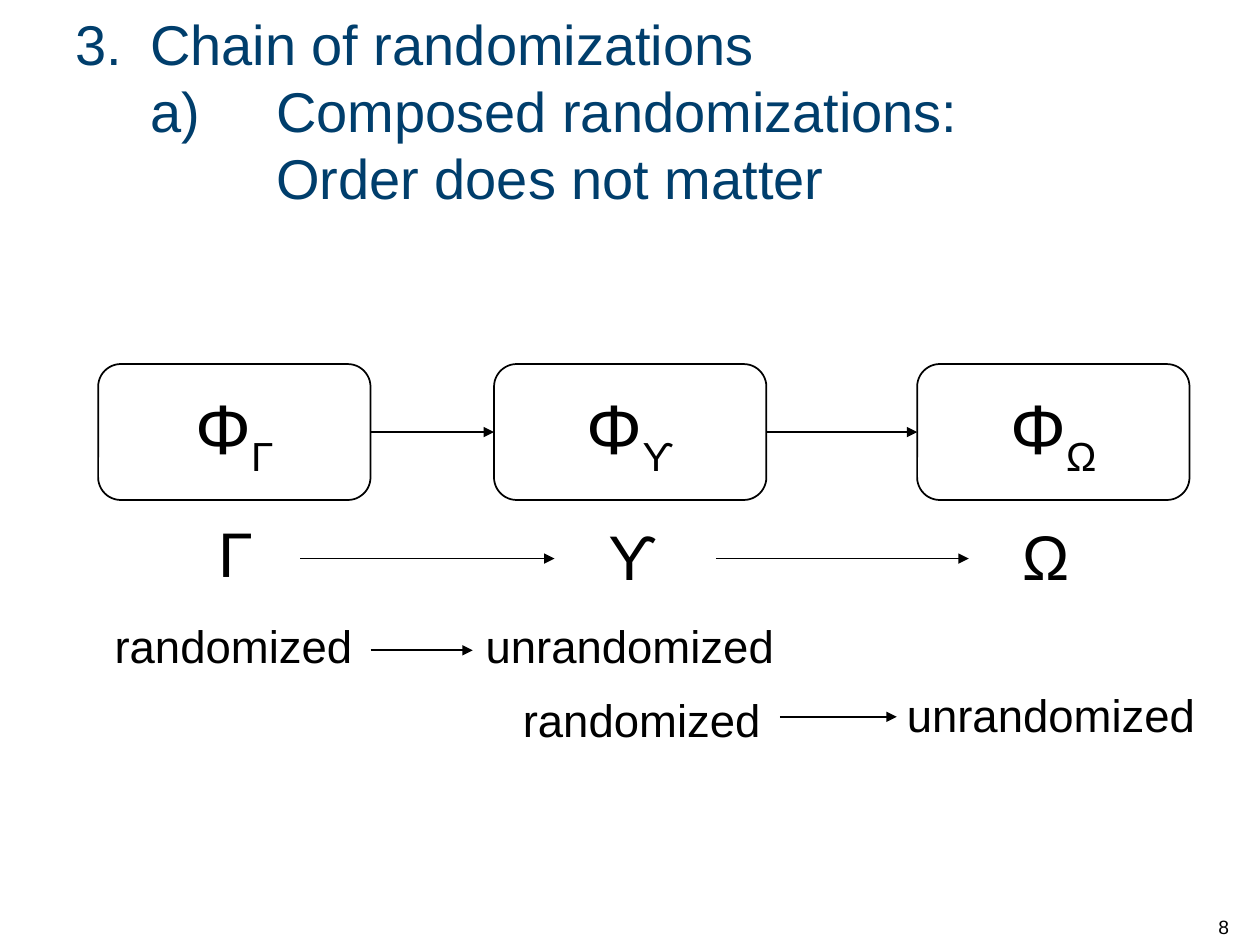
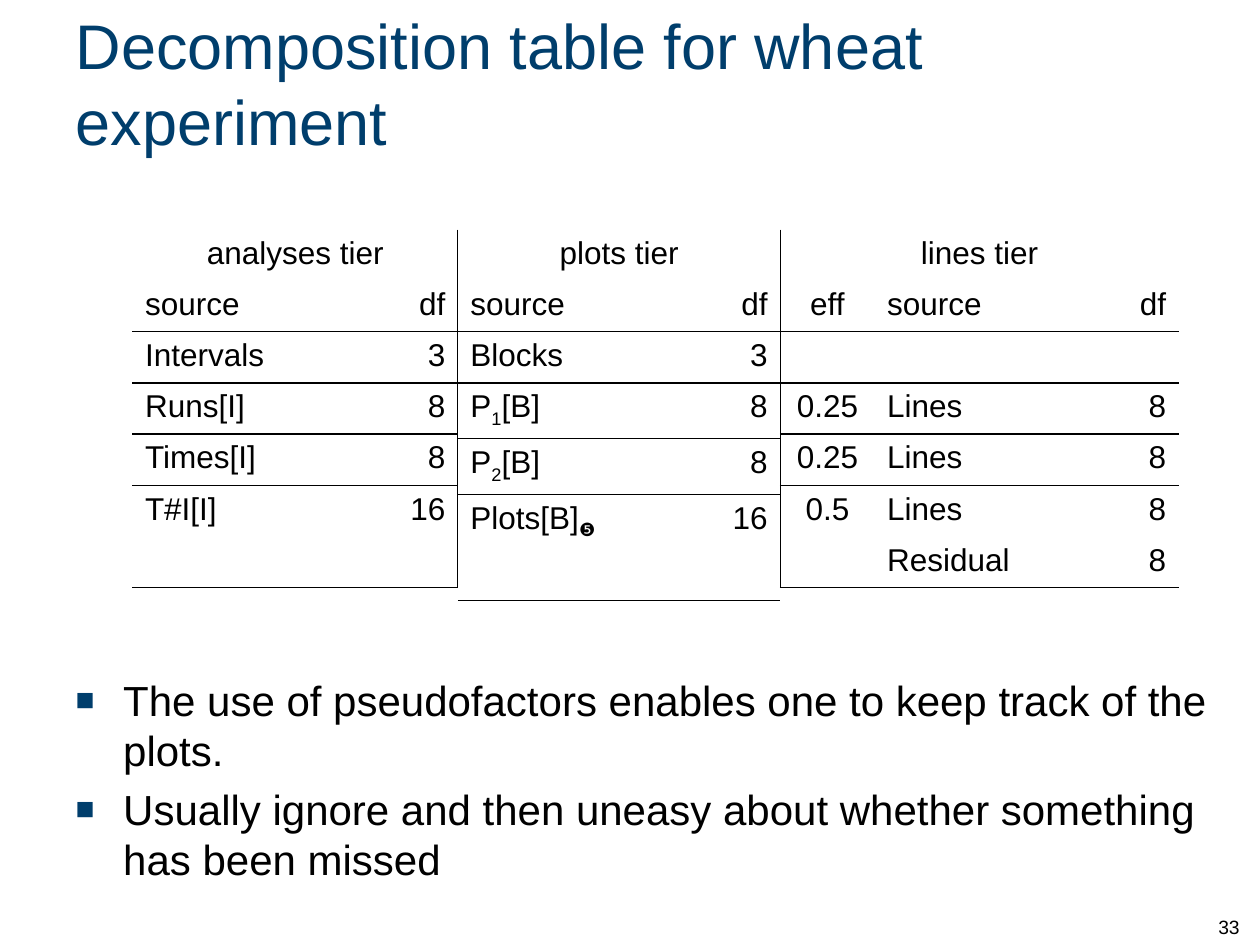
"""Build two slides on chained randomizations and their decomposition table."""
from dataclasses import dataclass

from lxml.etree import SubElement
from pptx import Presentation
from pptx.dml.color import RGBColor
from pptx.enum.shapes import MSO_CONNECTOR, MSO_SHAPE
from pptx.enum.text import MSO_ANCHOR, MSO_AUTO_SIZE, PP_ALIGN
from pptx.oxml.ns import qn
from pptx.util import Cm, Pt


@dataclass(frozen=True)
class Theme:
    font: str = "Arial"
    ink: str = "000000"
    blue: str = "003E6C"
    title: int = 36
    steps: int = 32
    node: int = 40
    sign: int = 36
    role: int = 26
    list: int = 24
    cell: int = 18
    page: int = 11
    line: float = 1
    rule: float = 0.75
    plain: str = "{2D5ABB26-0587-4C30-8999-92F81FD0307C}"


ALIGN = {"l": PP_ALIGN.LEFT, "c": PP_ALIGN.CENTER, "r": PP_ALIGN.RIGHT}


class Deck:
    def __init__(self, theme):
        self.theme = theme
        self.show = Presentation()
        self.show.slide_width, self.show.slide_height = Cm(25.4), Cm(19.05)
        self.slide = None

    def start(self, kind, page):
        self.slide = self.show.slides.add_slide(self.show.slide_layouts[kind])
        self.text(24.31, 17.78, 1.07, 1.27, str(page), self.theme.page,
                  MSO_ANCHOR.BOTTOM)

    def runs(self, para, text, size, tint=None, align="l"):
        para.alignment = ALIGN[align]
        for spot, part in enumerate(text.split("_")):
            if not part:
                continue
            run = para.add_run()
            run.text = part
            run.font.name = self.theme.font
            run.font.size = Pt(size)
            run.font.color.rgb = RGBColor.from_string(tint or self.theme.ink)
            if spot % 2:
                run._r.get_or_add_rPr().set("baseline", "-25000")

    def place(self, shape, left, top, width, height):
        shape.left, shape.top = Cm(left), Cm(top)
        shape.width, shape.height = Cm(width), Cm(height)
        shape.text_frame.auto_size = MSO_AUTO_SIZE.NONE
        return shape.text_frame

    def hang(self, para, depth):
        props = para._p.get_or_add_pPr()
        props.set("marL", str(Cm(depth)))
        props.set("indent", str(-Cm(depth)))
        return props

    def title(self, top, height, lines, size):
        frame = self.place(self.slide.shapes.title, 1.27, top, 22.86, height)
        frame.vertical_anchor = MSO_ANCHOR.MIDDLE
        para = frame.paragraphs[0]
        for spot, line in enumerate(lines):
            if spot:
                para.add_line_break()
            self.runs(para, line, size, self.theme.blue)
        return para

    def steps(self, para, depth, stop):
        props = self.hang(para, depth)
        props.set("defTabSz", str(Cm(2.54)))
        tabs = SubElement(props, qn("a:tabLst"))
        SubElement(tabs, qn("a:tab"), pos=str(Cm(stop)), algn="l")

    def list(self, left, top, width, height, items):
        frame = self.place(self.slide.placeholders[1], left, top, width, height)
        for spot, item in enumerate(items):
            para = frame.add_paragraph() if spot else frame.paragraphs[0]
            para.space_before = Pt(5 if spot else 0)
            props = self.hang(para, 0.96)
            tint = SubElement(props, qn("a:buClr"))
            SubElement(tint, qn("a:srgbClr"), val=self.theme.blue)
            SubElement(props, qn("a:buSzPct"), val="75000")
            SubElement(props, qn("a:buFont"), typeface=self.theme.font)
            SubElement(props, qn("a:buChar"), char="■")
            self.runs(para, item, self.theme.list)

    def text(self, left, top, width, height, text, size,
             anchor=MSO_ANCHOR.TOP):
        box = self.slide.shapes.add_textbox(
            Cm(left), Cm(top), Cm(width), Cm(height))
        box.text_frame.word_wrap = True
        box.text_frame.vertical_anchor = anchor
        self.runs(box.text_frame.paragraphs[0], text, size)

    def node(self, left, top, width, height, text):
        box = self.slide.shapes.add_shape(
            MSO_SHAPE.ROUNDED_RECTANGLE,
            Cm(left), Cm(top), Cm(width), Cm(height))
        box.shadow.inherit = False
        box.fill.background()
        box.line.color.rgb = RGBColor.from_string(self.theme.ink)
        box.line.width = Pt(self.theme.line)
        frame = box.text_frame
        frame.vertical_anchor = MSO_ANCHOR.MIDDLE
        frame.margin_left = frame.margin_right = Cm(0.03)
        frame.margin_top = frame.margin_bottom = Cm(0.05)
        self.runs(frame.paragraphs[0], text, self.theme.node, align="c")
        return box

    def arrow(self, left=0, right=0, level=0):
        line = self.slide.shapes.add_connector(
            MSO_CONNECTOR.STRAIGHT,
            Cm(left), Cm(level), Cm(right), Cm(level))
        line.line.color.rgb = RGBColor.from_string(self.theme.ink)
        line.line.width = Pt(self.theme.line)
        props = line._element.spPr
        SubElement(props.get_or_add_ln(), qn("a:tailEnd"),
                   type="triangle", w="med", len="med")
        SubElement(props, qn("a:effectLst"))
        return line

    def join(self, first, last):
        line = self.arrow()
        line.begin_connect(first, 3)
        line.end_connect(last, 1)

    def edge(self, cell, side):
        line = SubElement(cell._tc.get_or_add_tcPr(), qn("a:ln" + side),
                          w=str(Pt(self.theme.rule)))
        fill = SubElement(line, qn("a:solidFill"))
        SubElement(fill, qn("a:srgbClr"), val=self.theme.ink)

    def table(self, left, top, widths, high, head, rows, aligns, ruled, wall):
        grid = [[head] + [""] * (len(widths) - 1)] + rows
        frame = self.slide.shapes.add_table(
            len(grid), len(widths), Cm(left), Cm(top),
            Cm(sum(widths)), Cm(high * len(grid)))
        table = frame.table
        table.first_row = table.horz_banding = False
        table._tbl.tblPr.find(qn("a:tableStyleId")).text = self.theme.plain
        for col, width in zip(table.columns, widths):
            col.width = Cm(width)
        ends = {"L": 0, "R": len(widths) - 1}
        for y, row in enumerate(grid):
            table.rows[y].height = Cm(high)
            for x, text in enumerate(row):
                cell = table.cell(y, x)
                if wall and (x == ends[wall] or y == 0 and x == 0):
                    self.edge(cell, wall)
                if y in ruled:
                    self.edge(cell, "B")
                cell.fill.background()
                self.runs(cell.text_frame.paragraphs[0], text,
                          self.theme.cell, align=aligns[x] if y else "c")
        table.cell(0, 0).merge(table.cell(0, len(widths) - 1))


def chain(deck):
    look = deck.theme
    deck.start(5, 8)
    para = deck.title(0.2, 4.04, [
        "3.\tChain of randomizations",
        "a)\tComposed randomizations:",
        "\tOrder does not matter"], look.steps)
    deck.steps(para, 1.5, 3)

    nodes = []
    for sign, left, mark, top in (("Γ", 1.98, 4.15, 10.24),
                                  ("ϒ", 9.96, 12.01, 10.31),
                                  ("Ω", 18.49, 20.37, 10.31)):
        nodes.append(deck.node(left, 7.34, 5.49, 2.74, f"Φ_{sign}_"))
        deck.text(mark, top, 1.63, 1.8, sign, look.sign)
    for first, last in zip(nodes, nodes[1:]):
        deck.join(first, last)

    for left, top, width, role in ((2.06, 12.34, 5.4, "randomized"),
                                   (9.54, 12.34, 6.4, "unrandomized"),
                                   (10.29, 13.82, 5.4, "randomized"),
                                   (18.03, 13.72, 6.4, "unrandomized")):
        deck.text(left, top, width, 1.35, role, look.role)
    for left, right, level in ((6.05, 11.18, 11.26), (14.43, 19.53, 11.26),
                               (7.47, 9.53, 13.11), (15.72, 18.08, 14.45)):
        deck.arrow(left, right, level)


def wheat(deck):
    deck.start(1, 33)
    deck.title(0.41, 2.49, ["Decomposition table for wheat experiment"],
               deck.theme.title)
    tiers = (
        ("analyses tier", (5.11, 1.45), "lr", "R", [
            ["source", "df"], ["Intervals", "3"], ["Runs[I]", "8"],
            ["Times[I]", "8"], ["T#I[I]", "16"], ["", ""]]),
        ("plots tier", (5.08, 1.42), "lr", "", [
            ["source", "df"], ["Blocks", "3"], ["P_1_[B]", "8"],
            ["P_2_[B]", "8"], ["Plots[B]_❺_", "16"], ["", ""]]),
        ("lines tier", (1.9, 4.45, 1.68), "clr", "L", [
            ["eff", "source", "df"], ["", "", ""], ["0.25", "Lines", "8"],
            ["0.25", "Lines", "8"], ["0.5", "Lines", "8"],
            ["", "Residual", "8"]]))
    left = 2.67
    for head, widths, aligns, wall, rows in tiers:
        deck.table(left, 4.63, widths, 1.03, head, rows, aligns,
                   {1, 2, 3, 4, 6}, wall)
        left += sum(widths)
    deck.list(1.27, 13.46, 23.5, 4.57, [
        "The use of pseudofactors enables one to keep track of the plots.",
        "Usually ignore and then uneasy about whether something has been "
        "missed"])


def main():
    deck = Deck(Theme())
    chain(deck)
    wheat(deck)
    deck.show.save("out.pptx")


if __name__ == "__main__":
    main()
